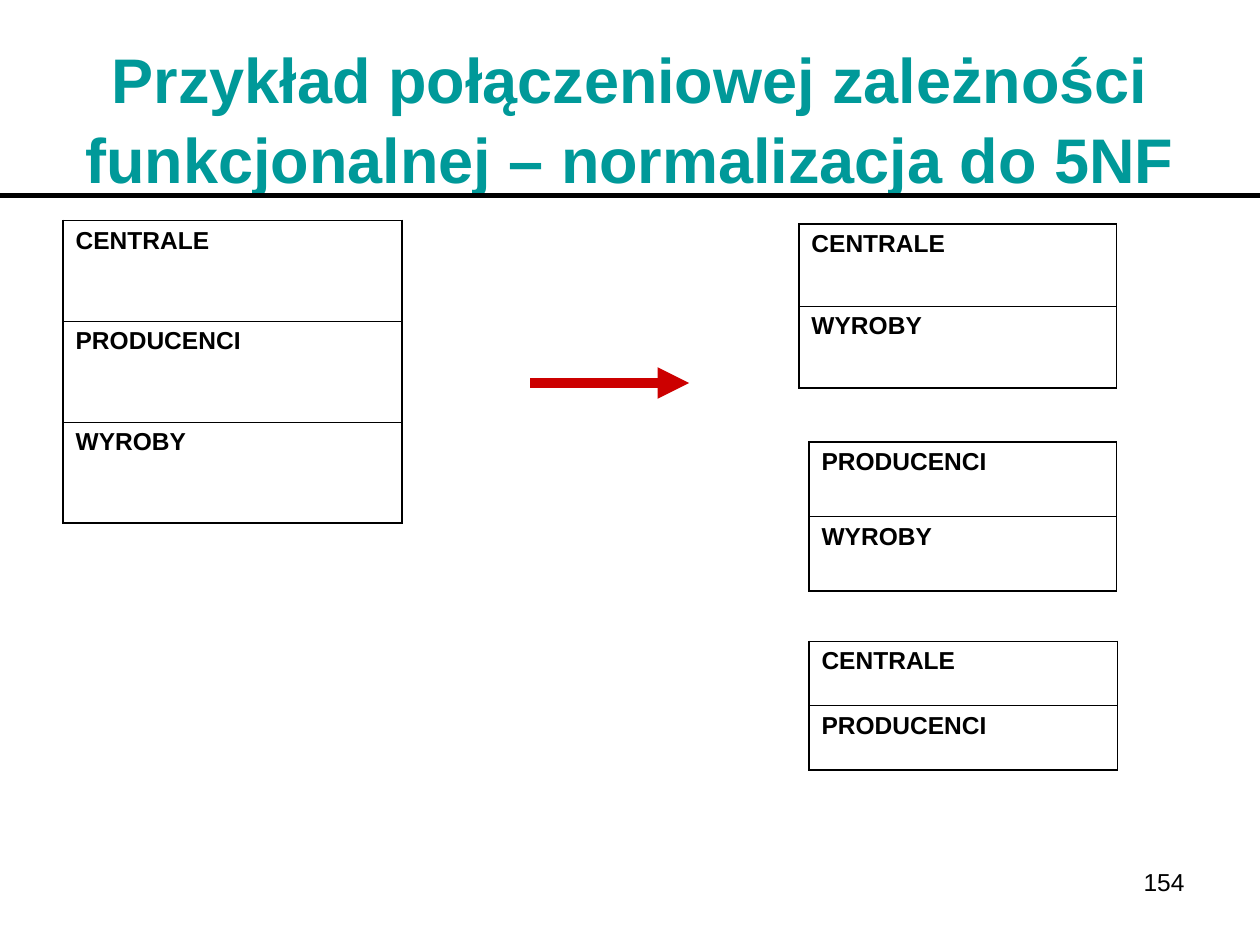
from lxml import etree
from pptx import Presentation
from pptx.dml.color import RGBColor
from pptx.enum.shapes import MSO_CONNECTOR
from pptx.enum.text import MSO_ANCHOR, MSO_AUTO_SIZE, PP_ALIGN
from pptx.oxml.ns import qn
from pptx.util import Inches, Pt

LINE = MSO_CONNECTOR.STRAIGHT
MID = MSO_ANCHOR.MIDDLE
LEFT, MIDDLE, RIGHT = PP_ALIGN.LEFT, PP_ALIGN.CENTER, PP_ALIGN.RIGHT
NO_FIT = MSO_AUTO_SIZE.NONE

WIDE, HIGH = 10, 7.5
TITLE = "Przykład połączeniowej zależności funkcjonalnej – normalizacja do 5NF"
PAGE = "154"
TABLES = [
    (0.5, 1.75, 2.69, 0.8, ["CENTRALE", "PRODUCENCI", "WYROBY"]),
    (6.34, 1.78, 2.52, 0.65, ["CENTRALE", "WYROBY"]),
    (6.42, 3.51, 2.44, 0.59, ["PRODUCENCI", "WYROBY"]),
    (6.42, 5.09, 2.45, 0.51, ["CENTRALE", "PRODUCENCI"]),
]
RULE = (0, 1.55, WIDE, "000000", 3)
ARROW = (4.21, 3.04, 5.47, "CC0000", 6)
OUTER, INNER = 1.08, 0.45


def color(code):
    return RGBColor.from_string(code)


def write(frame, text, size=14, tint="000000", bold=False, align=LEFT, gap=1):
    para = frame.paragraphs[0]
    para.alignment = align
    para.line_spacing = gap
    run = para.add_run()
    run.text = text
    run.font.name = "Arial"
    run.font.size = Pt(size)
    run.font.bold = bold
    run.font.color.rgb = color(tint)


def border(cell, side, width, tint="000000"):
    props = cell._tc.get_or_add_tcPr()
    line = etree.SubElement(props, qn("a:" + side), w=str(Pt(width)))
    fill = etree.SubElement(line, qn("a:solidFill"))
    etree.SubElement(fill, qn("a:srgbClr"), val=tint)


def add_grid(slide, left, top, width, step, names):
    count = len(names)
    box = [Inches(n) for n in (left, top, width, step * count)]
    table = slide.shapes.add_table(count, 1, *box).table
    table.first_row = table.horz_banding = False
    for i, name in enumerate(names):
        table.rows[i].height = Inches(step)
        cell = table.cell(i, 0)
        border(cell, "lnL", OUTER)
        border(cell, "lnR", OUTER)
        border(cell, "lnT", INNER if i else OUTER)
        border(cell, "lnB", INNER if i < count - 1 else OUTER)
        cell.fill.background()
        write(cell.text_frame, name, bold=True)


def add_line(slide, start, level, end, tint, width, head=False):
    ends = [Inches(n) for n in (start, level, end, level)]
    line = slide.shapes.add_connector(LINE, *ends)
    line.line.color.rgb = color(tint)
    line.line.width = Pt(width)
    if head:
        etree.SubElement(line.line._get_or_add_ln(), qn("a:tailEnd"), type="triangle")
    etree.SubElement(line._element.spPr, qn("a:effectLst"))


def main():
    deck = Presentation()
    deck.slide_width, deck.slide_height = Inches(WIDE), Inches(HIGH)
    slide = deck.slides.add_slide(deck.slide_layouts[5])

    title = slide.shapes.title
    title.left, title.top = Inches(0.5), Inches(0.3)
    title.width, title.height = Inches(9), Inches(1.25)
    frame = title.text_frame
    frame.auto_size = NO_FIT
    frame.vertical_anchor = MID
    write(frame, TITLE, size=36, tint="009999", bold=True, align=MIDDLE, gap=1.05)

    for grid in TABLES:
        add_grid(slide, *grid)
    add_line(slide, *RULE)
    add_line(slide, *ARROW, head=True)

    box = slide.shapes.add_textbox(Inches(7.17), Inches(6.83), Inches(2.33), Inches(0.52))
    box.text_frame.word_wrap = True
    write(box.text_frame, PAGE, align=RIGHT)
    deck.save("out.pptx")


if __name__ == "__main__":
    main()
